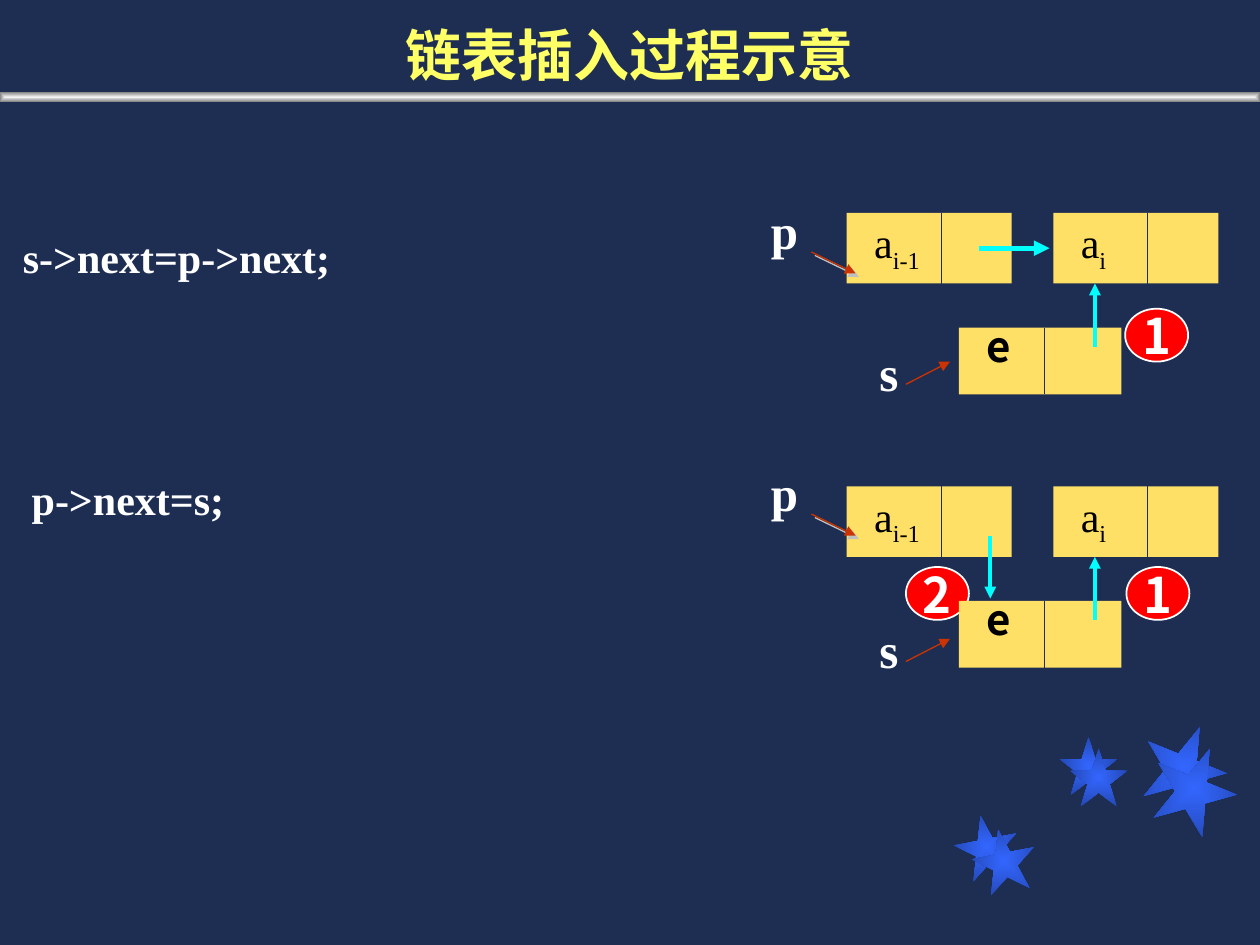
from lxml import etree
from pptx import Presentation
from pptx.dml.color import RGBColor
from pptx.enum.shapes import MSO_CONNECTOR, MSO_SHAPE
from pptx.enum.text import MSO_ANCHOR, PP_ALIGN
from pptx.oxml.ns import qn
from pptx.util import Inches, Pt

NAVY = RGBColor(0x1E, 0x2E, 0x53)
YELLOW = RGBColor(0xFF, 0xFF, 0x66)
NODE = RGBColor(0xFF, 0xE0, 0x66)
CYAN = RGBColor(0, 0xFF, 0xFF)
RUST = RGBColor(0xCC, 0x33, 0)
RED = RGBColor(0xFF, 0, 0)
WHITE = RGBColor(0xFF, 0xFF, 0xFF)
BLACK = RGBColor(0, 0, 0)
BLUE = RGBColor(0x33, 0x66, 0xFF)
DARK_BLUE = RGBColor(0x24, 0x49, 0xB6)
PALE = RGBColor(0xF2, 0xF2, 0xF2)
GREY = RGBColor(0x80, 0x80, 0x80)

SERIF, SANS = "Times New Roman", "Noto Sans CJK SC"
LEFT, CENTER = PP_ALIGN.LEFT, PP_ALIGN.CENTER
TOP, MIDDLE, BOTTOM = MSO_ANCHOR.TOP, MSO_ANCHOR.MIDDLE, MSO_ANCHOR.BOTTOM
RECT, OVAL, STAR = MSO_SHAPE.RECTANGLE, MSO_SHAPE.OVAL, MSO_SHAPE.STAR_5_POINT
STRAIGHT = MSO_CONNECTOR.STRAIGHT


def style(p, size, color, font=SERIF, bold=True, align=LEFT):
    p.alignment = align
    p.font.size, p.font.bold, p.font.name = Pt(size), bold, font
    p.font.color.rgb = color
    ea = etree.SubElement(p._p.pPr.find(qn("a:defRPr")), qn("a:ea"))
    ea.set("typeface", font)


def add_text(shapes, x, y, w, h, text, size, color, inset=0.09, sub="", **kw):
    s = shapes.add_textbox(Inches(x), Inches(y), Inches(w), Inches(h))
    tf = s.text_frame
    tf.word_wrap = True
    tf.margin_top = Inches(inset)
    p = tf.paragraphs[0]
    p.add_run().text = text
    if sub:
        r = p.add_run()
        r.text = sub
        r._r.get_or_add_rPr().set("baseline", "-25000")
    style(p, size, color, **kw)


def add_shape(shapes, kind, x, y, w, h, color, edge=None):
    s = shapes.add_shape(kind, Inches(x), Inches(y), Inches(w), Inches(h))
    s.shadow.inherit = False
    if edge is None:
        s.fill.solid()
        s.fill.fore_color.rgb = color
    else:
        # Gradient running from the centre to the edge
        s.fill.gradient()
        for stop, c, pos in zip(s.fill.gradient_stops, (color, edge), (0, 1)):
            stop.color.rgb, stop.position = c, pos
        grad = s._element.spPr.find(qn("a:gradFill"))
        grad.remove(grad.find(qn("a:lin")))
        shade = etree.SubElement(grad, qn("a:path"))
        shade.set("path", "shape")
        focus = etree.SubElement(shade, qn("a:fillToRect"))
        for side in "ltrb":
            focus.set(side, "50000")
    s.line.fill.background()
    return s


def add_line(shapes, x1, y1, x2, y2, color, width=0.75, arrow=True, shadow=False):
    c = shapes.add_connector(STRAIGHT, Inches(x1), Inches(y1), Inches(x2), Inches(y2))
    c.line.color.rgb, c.line.width = color, Pt(width)
    if arrow:
        etree.SubElement(c.line._get_or_add_ln(), qn("a:tailEnd")).set("type", "triangle")
    effects = etree.SubElement(c._element.spPr, qn("a:effectLst"))
    if shadow:
        outer = etree.SubElement(effects, qn("a:outerShdw"))
        outer.set("dist", str(Pt(2.8)))
        outer.set("dir", "2700000")
        etree.SubElement(outer, qn("a:srgbClr")).set("val", "C0C0C0")


def add_badge(shapes, x, y, number):
    s = add_shape(shapes, OVAL, x, y, 0.5, 0.42, RED)
    s.line.color.rgb, s.line.width = WHITE, Pt(1)
    tf = s.text_frame
    tf.word_wrap = False
    tf.margin_left = tf.margin_right = tf.margin_top = tf.margin_bottom = 0
    tf.vertical_anchor = MIDDLE
    tf.paragraphs[0].text = number
    style(tf.paragraphs[0], 28, WHITE, font=SANS, align=CENTER)


def add_node(shapes, x, y, w, h, split, text, **kw):
    add_shape(shapes, RECT, x, y, w, h, NODE)
    add_line(shapes, x + split, y, x + split, y + h, NAVY, arrow=False)
    add_text(shapes, x + 0.12, y - 0.06, 0.93, 0.51, text, 24, BLACK, **kw)


def add_pointer(shapes, x, y, name, dx, dy, rise, shadow=False):
    """A variable name with the thin arrow to its node."""
    add_text(shapes, x, y, 0.39, 0.57, name, 28, WHITE, align=CENTER)
    add_line(shapes, x + dx, y + dy, x + dx + 0.35, y + dy + rise, RUST, shadow=shadow)


def add_list(slide, x, y, p_y, s_y):
    """Two list nodes with the new node e below, top left at x, y."""
    shapes = slide.shapes.add_group_shape().shapes
    add_pointer(shapes, x + 0.14, s_y, "s", 0.33, 0.42, -0.18)
    add_node(shapes, x + 0.89, y + 0.91, 1.29, 0.53, 0.68, "e", font=SANS, inset=0)
    for dx, index in ((1.64, "i"), (0, "i-1")):
        add_node(shapes, x + dx, y, 1.31, 0.56, 0.75, "a", sub=index, bold=False)
    add_pointer(shapes, x - 0.7, p_y, "p", 0.42, 0.5, 0.17, shadow=True)
    # Link from e to the following node
    add_line(shapes, x + 1.97, y + 1.06, x + 1.97, y + 0.56, CYAN, 2.25)


def add_step_one(slide, x, y):
    add_text(slide.shapes, 0, y + 0.06, 6.93, 0.63, " s->next=p->next;", 24, WHITE)
    add_badge(slide.shapes, x + 2.21, y + 0.76, "1")
    add_list(slide, x, y, y - 0.19, y + 0.94)
    add_line(slide.shapes, x + 1.05, y + 0.28, x + 1.61, y + 0.28, CYAN, 3)


def add_step_two(slide, x, y):
    add_text(slide.shapes, 0.07, y - 0.19, 6.93, 0.63, " p->next=s;", 24, WHITE)
    for dx, number in ((0.47, "2"), (2.22, "1")):
        add_badge(slide.shapes, x + dx, y + 0.64, number)
    add_list(slide, x, y, y - 0.28, y + 0.97)
    add_line(slide.shapes, x + 1.14, y + 0.39, x + 1.14, y + 0.89, CYAN, 2.25)


def add_decoration(slide):
    # Pairs of stars, the second shifted from the first
    for x, y, size, angle, dx, dy in ((7.58, 6.47, 0.5, 349, 0.14, 0.11),
                                      (8.41, 5.85, 0.46, 0, 0.08, 0.09),
                                      (9.06, 5.75, 0.67, 22, 0.08, 0.17)):
        for n in range(2):
            s = add_shape(slide.shapes, STAR, x + n * dx, y + n * dy, size, size,
                          BLUE, DARK_BLUE)
            s.rotation = angle
    # Bar under the title
    add_shape(slide.shapes, RECT, 0, 0.73, 10, 0.08, PALE, GREY)


def set_title(slide, x, y, w, h, text):
    title = slide.shapes.title
    title.left, title.top, title.width, title.height = map(Inches, (x, y, w, h))
    tf = title.text_frame
    tf.vertical_anchor = BOTTOM
    tf.paragraphs[0].text = text
    style(tf.paragraphs[0], 32, YELLOW, font=SANS, align=CENTER)


def main():
    prs = Presentation()
    prs.slide_width, prs.slide_height = Inches(10), Inches(7.5)
    slide = prs.slides.add_slide(prs.slide_layouts[5])
    slide.background.fill.solid()
    slide.background.fill.fore_color.rgb = NAVY
    add_decoration(slide)
    add_step_one(slide, 6.72, 1.69)
    add_step_two(slide, 6.72, 3.86)
    set_title(slide, 0, 0, 10, 0.75, "链表插入过程示意")
    prs.save("out.pptx")


if __name__ == "__main__":
    main()
